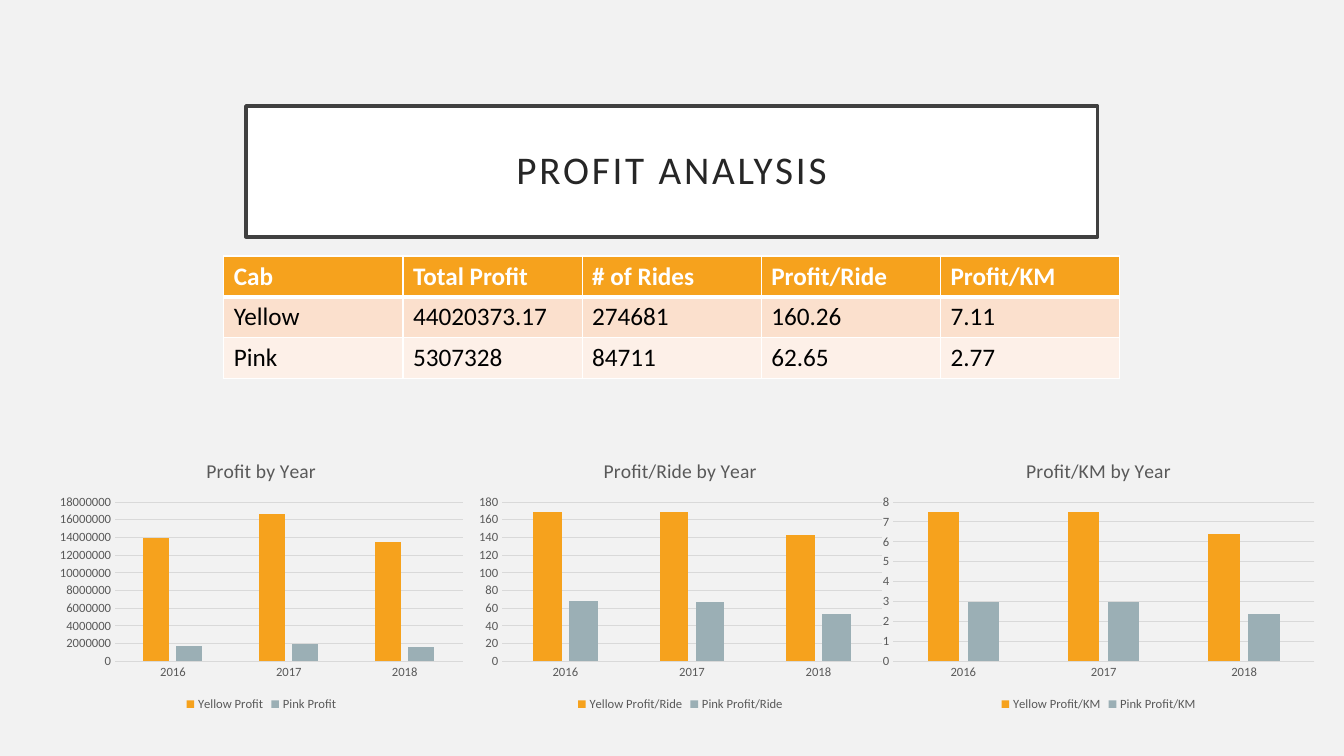
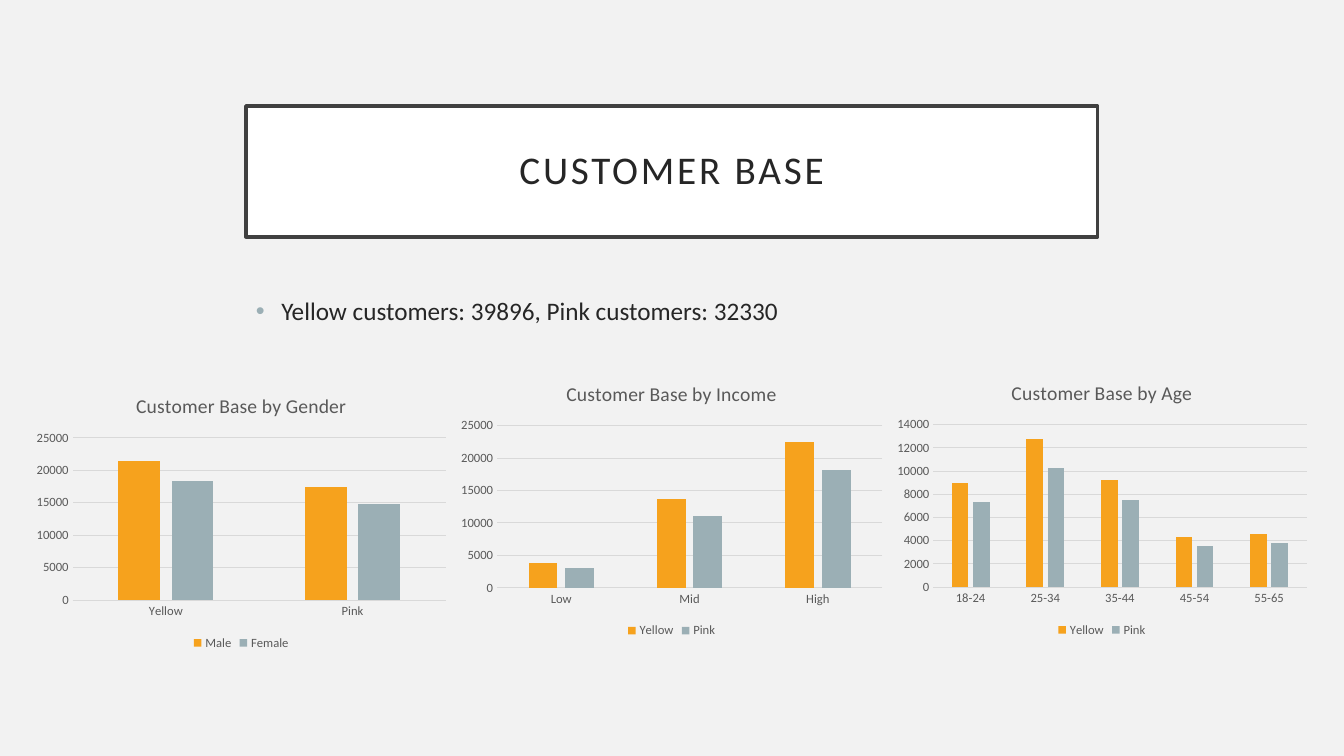
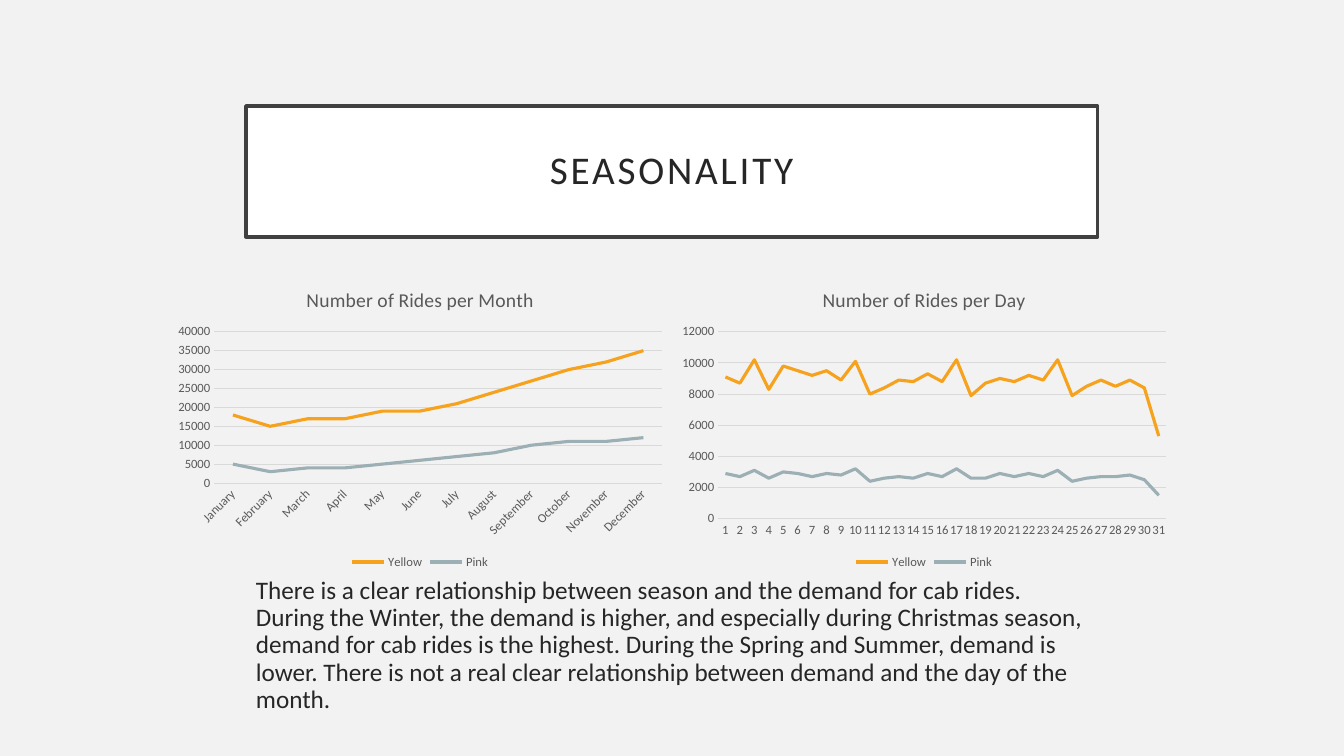
from pptx import Presentation
from pptx import util as u
from pptx.chart import data as chart_data
from pptx.dml import color
from pptx.enum import chart as charts
from pptx.enum import shapes, text
from pptx.oxml import parse_xml
from pptx.oxml import ns

FONT = "Calibri"
BACKGROUND = "F2F2F2"
WHITE = "FFFFFF"
BLACK = "000000"
INK = "262626"
FRAME = "404040"
GREY = "595959"
GRID = "D9D9D9"
YELLOW = "F6A21D"
PINK = "9BAFB5"
ROW_FILLS = [YELLOW, "FBE0CD", "FDF0E8"]
CONTENT_LEFT = 6.2
CONTENT_WIDTH = 21.46
AUTO_ROTATION = -60000000
SLANTED = -2700000


def rgb(value):
    return color.RGBColor.from_string(value)


def set_values(target, values):
    for name, value in values.items():
        setattr(target, name, value)


def style_font(font, size, shade, bold=False):
    set_values(font, {"name": FONT, "size": u.Pt(size), "bold": bold})
    font.color.rgb = rgb(shade)


def style_line(line, shade, width):
    line.color.rgb = rgb(shade)
    line.width = u.Pt(width)


def box(left, top, width, height):
    return [u.Cm(length) for length in (left, top, width, height)]


def add_title(slide, title):
    shape = slide.shapes.add_shape(
        shapes.MSO_SHAPE.RECTANGLE, *box(CONTENT_LEFT, 2.67, CONTENT_WIDTH, 3.3))
    shape.shadow.inherit = False
    shape.fill.solid()
    shape.fill.fore_color.rgb = rgb(WHITE)
    style_line(shape.line, FRAME, 2.5)
    frame = shape.text_frame
    margins = dict.fromkeys(
        ["margin_left", "margin_top", "margin_right", "margin_bottom"], u.Cm(0.51))
    set_values(frame, {"word_wrap": True,
                       "vertical_anchor": text.MSO_ANCHOR.MIDDLE, **margins})
    paragraph = frame.paragraphs[0]
    set_values(paragraph, {"alignment": text.PP_ALIGN.CENTER, "line_spacing": 0.9})
    run = paragraph.add_run()
    run.text = title
    style_font(run.font, 28, INK)
    run.font._element.set("spc", "200")


def add_bullet(paragraph):
    properties = paragraph._p.get_or_add_pPr()
    properties.set("marL", str(u.Cm(0.64)))
    properties.set("indent", str(u.Cm(-0.64)))
    namespace = ns.nsdecls("a")
    for xml in (
        f'<a:buClr {namespace}><a:srgbClr val="{PINK}"/></a:buClr>',
        f'<a:buFont {namespace} typeface="Arial"/>',
        f'<a:buChar {namespace} char="\u2022"/>',
    ):
        properties.append(parse_xml(xml))


def add_body(slide, words, top, height, line_spacing, bullet=False):
    textbox = slide.shapes.add_textbox(*box(CONTENT_LEFT, top, CONTENT_WIDTH, height))
    textbox.text_frame.word_wrap = True
    paragraph = textbox.text_frame.paragraphs[0]
    set_values(paragraph, {"line_spacing": line_spacing, "space_before": u.Pt(10)})
    if bullet:
        add_bullet(paragraph)
    run = paragraph.add_run()
    run.text = words
    style_font(run.font, 18, INK)


def add_borders(cell, widths):
    properties = cell._tc.get_or_add_tcPr()
    for side, width in widths.items():
        properties.append(parse_xml(
            f'<a:ln{side} {ns.nsdecls("a")} w="{u.Pt(width)}"><a:solidFill>'
            f'<a:srgbClr val="{WHITE}"/></a:solidFill></a:ln{side}>'))


def add_table(slide, rows, left, top, width, row_height):
    table = slide.shapes.add_table(
        len(rows), len(rows[0]), *box(left, top, width, row_height * len(rows))).table
    for row_index, row in enumerate(rows):
        header = row_index == 0
        widths = {"L": 1, "R": 1, "T": 3 if row_index == 1 else 1, "B": 3 if header else 1}
        for column_index, value in enumerate(row):
            cell = table.cell(row_index, column_index)
            cell.text = value
            style_font(cell.text_frame.paragraphs[0].runs[0].font, 18,
                       WHITE if header else BLACK, header)
            add_borders(cell, widths)
            cell.fill.solid()
            cell.fill.fore_color.rgb = rgb(ROW_FILLS[row_index])


def style_axes(chart, top_value, step, rotation):
    category_axis, value_axis = chart.category_axis, chart.value_axis
    for axis in (category_axis, value_axis):
        set_values(axis, {"major_tick_mark": charts.XL_TICK_MARK.NONE,
                          "minor_tick_mark": charts.XL_TICK_MARK.NONE})
        style_font(axis.tick_labels.font, 9, GREY)
    style_line(category_axis.format.line, GRID, 0.75)
    category_axis._element.find(ns.qn("c:txPr")).find(ns.qn("a:bodyPr")).set(
        "rot", str(rotation))
    set_values(value_axis, {"minimum_scale": 0, "maximum_scale": top_value,
                            "major_unit": step, "has_major_gridlines": True})
    value_axis.format.line.fill.background()
    style_line(value_axis.major_gridlines.format.line, GRID, 0.75)
    element = value_axis._element
    if element.find(ns.qn("c:crossBetween")) is None:
        element.find(ns.qn("c:crosses")).addnext(
            parse_xml(f'<c:crossBetween {ns.nsdecls("c")} val="between"/>'))


def add_chart(slide, kind, place, title, categories, series, scale,
              rotation=AUTO_ROTATION):
    data = chart_data.CategoryChartData()
    data.categories = categories
    for name, values in series.items():
        data.add_series(name, values)
    chart = slide.shapes.add_chart(kind, *box(*place), data).chart
    style_font(chart.font, 10, BLACK)
    set_values(chart, {"has_title": True, "has_legend": True})
    frame = chart.chart_title.text_frame
    frame.text = title
    style_font(frame.paragraphs[0].runs[0].font, 14, GREY)
    set_values(chart.legend, {"position": charts.XL_LEGEND_POSITION.BOTTOM,
                              "include_in_layout": False})
    style_font(chart.legend.font, 9, GREY)
    style_axes(chart, *scale, rotation)
    plot = chart.plots[0]
    plot.vary_by_categories = False
    is_column = kind == charts.XL_CHART_TYPE.COLUMN_CLUSTERED
    if is_column:
        set_values(plot, {"gap_width": 219, "overlap": -27})
    for item, shade in zip(plot.series, (YELLOW, PINK)):
        if is_column:
            item.format.fill.solid()
            item.format.fill.fore_color.rgb = rgb(shade)
        else:
            item.smooth = False
            style_line(item.format.line, shade, 2.25)


def add_columns(slide, *details):
    add_chart(slide, charts.XL_CHART_TYPE.COLUMN_CLUSTERED, *details)


def add_lines(slide, *details):
    add_chart(slide, charts.XL_CHART_TYPE.LINE, *details)


def add_slide(presentation, title):
    slide = presentation.slides.add_slide(presentation.slide_layouts[6])
    add_title(slide, title)
    return slide


def build_profit(presentation):
    slide = add_slide(presentation, "PROFIT ANALYSIS")
    add_table(slide, [
        ["Cab", "Total Profit", "# of Rides", "Profit/Ride", "Profit/KM"],
        ["Yellow", "44020373.17", "274681", "160.26", "7.11"],
        ["Pink", "5307328", "84711", "62.65", "2.77"],
    ], 5.64, 6.45, 22.58, 1.03)
    years = ["2016", "2017", "2018"]
    for measure, left, width, yellow, pink, scale in (
        ("Profit", 1.3, 10.57, [13900000, 16600000, 13500000],
         [1700000, 2000000, 1600000], (18000000, 2000000)),
        ("Profit/Ride", 11.86, 10.57, [169, 169, 143], [68, 67, 53], (180, 20)),
        ("Profit/KM", 22.02, 11.33, [7.5, 7.5, 6.4], [3, 3, 2.4], (8, 1)),
    ):
        add_columns(slide, (left, 11.15, width, 6.88), f"{measure} by Year", years,
                    {f"Yellow {measure}": yellow, f"Pink {measure}": pink}, scale)


def build_customers(presentation):
    slide = add_slide(presentation, "CUSTOMER BASE")
    add_body(slide, "Yellow customers: 39896, Pink customers: 32330",
             7.32, 8.61, 1, bullet=True)
    add_columns(slide, (0.71, 9.53, 10.74, 6.96), "Customer Base by Gender",
                ["Yellow", "Pink"],
                {"Male": [21500, 17500], "Female": [18400, 14800]}, (25000, 5000))
    add_columns(slide, (22.4, 9.2, 10.74, 6.96), "Customer Base by Age",
                ["18-24", "25-34", "35-44", "45-54", "55-65"],
                {"Yellow": [9000, 12800, 9200, 4300, 4600],
                 "Pink": [7300, 10300, 7500, 3500, 3800]}, (14000, 2000))
    add_columns(slide, (11.4, 9.22, 11.05, 6.96), "Customer Base by Income",
                ["Low", "Mid", "High"],
                {"Yellow": [3800, 13700, 22400], "Pink": [3100, 11000, 18200]},
                (25000, 5000))


def build_seasonality(presentation):
    slide = add_slide(presentation, "SEASONALITY")
    add_body(slide, (
        "There is a clear relationship between season and the demand for cab rides. "
        "During the Winter, the demand is higher, and especially during Christmas "
        "season, demand for cab rides is the highest. During the Spring and Summer, "
        "demand is lower. There is not a real clear relationship between demand and "
        "the day of the month."), 14.43, 3.78, 0.9)
    months = ["January", "February", "March", "April", "May", "June", "July",
              "August", "September", "October", "November", "December"]
    add_lines(slide, (4.24, 6.83, 12.7, 7.62), "Number of Rides per Month", months, {
        "Yellow": [18000, 15000, 17000, 17000, 19000, 19000,
                   21000, 24000, 27000, 30000, 32000, 35000],
        "Pink": [5000, 3000, 4000, 4000, 5000, 6000,
                 7000, 8000, 10000, 11000, 11000, 12000],
    }, (40000, 5000), SLANTED)
    days = [str(day) for day in range(1, 32)]
    add_lines(slide, (16.94, 6.83, 12.7, 7.62), "Number of Rides per Day", days, {
        "Yellow": [9100, 8700, 10200, 8300, 9800, 9500, 9200, 9500, 8900, 10100, 8000,
                   8400, 8900, 8800, 9300, 8800, 10200, 7900, 8700, 9000, 8800,
                   9200, 8900, 10200, 7900, 8500, 8900, 8500, 8900, 8400, 5300],
        "Pink": [2900, 2700, 3100, 2600, 3000, 2900, 2700, 2900, 2800, 3200, 2400,
                 2600, 2700, 2600, 2900, 2700, 3200, 2600, 2600, 2900, 2700,
                 2900, 2700, 3100, 2400, 2600, 2700, 2700, 2800, 2500, 1500],
    }, (12000, 2000))


def main():
    presentation = Presentation()
    set_values(presentation, {"slide_width": u.Cm(33.87), "slide_height": u.Cm(19.05)})
    background = presentation.slide_master.background.fill
    background.solid()
    background.fore_color.rgb = rgb(BACKGROUND)
    build_profit(presentation)
    build_customers(presentation)
    build_seasonality(presentation)
    presentation.save("out.pptx")


main()
